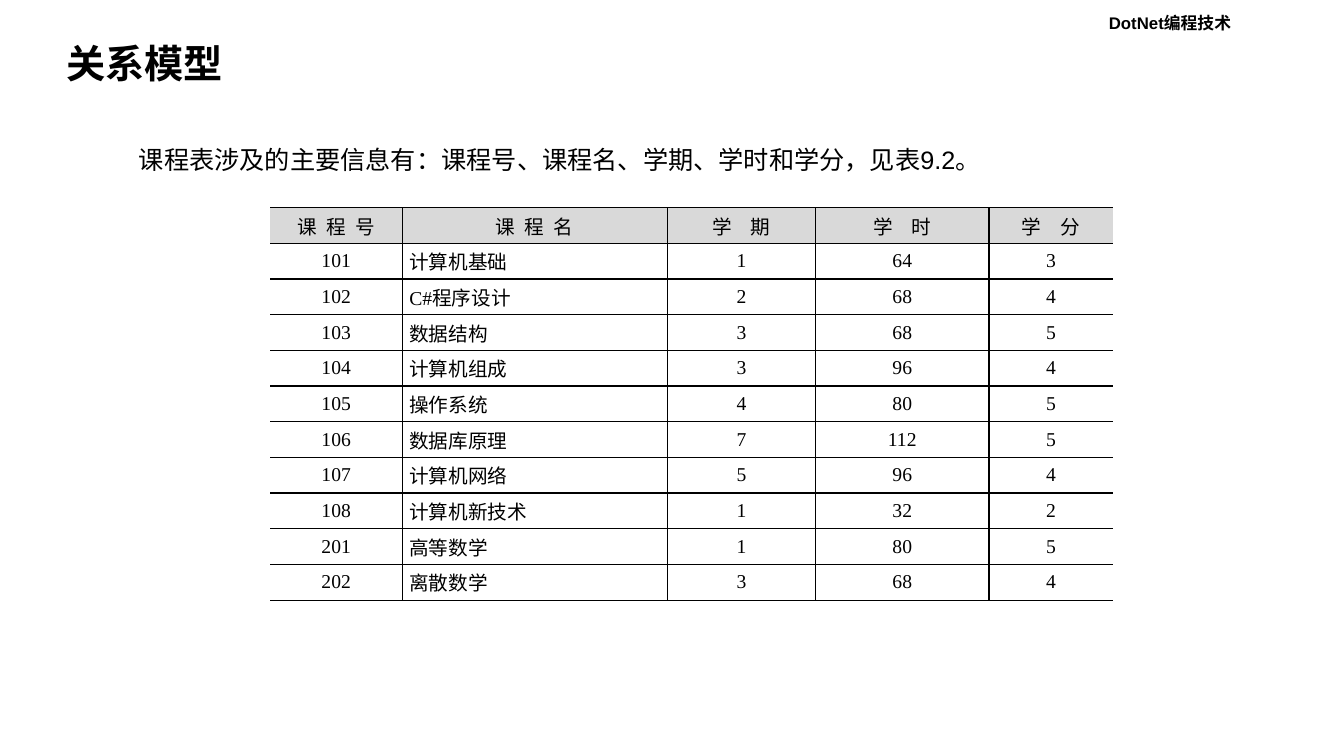
import lxml.etree
import pptx
import pptx.dml.color
import pptx.enum.text
import pptx.oxml.ns
import pptx.util

BLACK = pptx.dml.color.RGBColor(0x00, 0x00, 0x00)
HEADER_GREY = pptx.dml.color.RGBColor(0xD9, 0xD9, 0xD9)
ALIGN = pptx.enum.text.PP_ALIGN
MIDDLE = pptx.enum.text.MSO_ANCHOR.MIDDLE

HEADINGS = [("课 程 号", 175), ("课 程 名", 175), ("学 期", 525), ("学 时", 525), ("学 分", 525)]
COURSES = [
    ("101", "计算机基础", "1", "64", "3"),
    ("102", "C#程序设计", "2", "68", "4"),
    ("103", "数据结构", "3", "68", "5"),
    ("104", "计算机组成", "3", "96", "4"),
    ("105", "操作系统", "4", "80", "5"),
    ("106", "数据库原理", "7", "112", "5"),
    ("107", "计算机网络", "5", "96", "4"),
    ("108", "计算机新技术", "1", "32", "2"),
    ("201", "高等数学", "1", "80", "5"),
    ("202", "离散数学", "3", "68", "4"),
]
COLUMN_SHARES = [9.83, 19.73, 11.03, 12.9, 9.23]
ROW_SHARE = 4.72


class CourseSlide:
    """Builds one slide, with lengths given as percentages of its width and height."""

    def __init__(self):
        self.deck = pptx.Presentation()
        self.deck.slide_width = pptx.util.Inches(13.33)
        self.deck.slide_height = pptx.util.Inches(7.5)
        self.slide = self.deck.slides.add_slide(self.deck.slide_layouts[5])

    def across(self, share):
        return int(self.deck.slide_width * share / 100)

    def down(self, share):
        return int(self.deck.slide_height * share / 100)

    def area(self, left, top, width, height):
        return self.across(left), self.down(top), self.across(width), self.down(height)

    def wording(self, frame, words, size, face="Arial", bold=False, **layout):
        paragraph = frame.paragraphs[0]
        run = paragraph.add_run()
        run.text = words
        run.font.color.rgb = BLACK
        font = {"size": pptx.util.Pt(size), "name": face, "bold": bold}
        for target, values in ((run.font, font), (paragraph, layout)):
            for attribute, value in values.items():
                setattr(target, attribute, value)
        return run

    def title(self, words, *place):
        heading = self.slide.shapes.title
        heading.left, heading.top, heading.width, heading.height = self.area(*place)
        heading.text_frame.vertical_anchor = MIDDLE
        self.wording(heading.text_frame, words, 28, bold=True,
                     alignment=ALIGN.LEFT, line_spacing=0.9)

    def text(self, words, size, *place, bold=False):
        frame = self.slide.shapes.add_textbox(*self.area(*place)).text_frame
        frame.word_wrap = True
        self.wording(frame, words, size, bold=bold)

    def rule(self, cell, side, visible):
        tag = pptx.oxml.ns.qn
        line = lxml.etree.SubElement(cell._tc.get_or_add_tcPr(), tag(f"a:ln{side}"), w="12700")
        if visible:
            fill = lxml.etree.SubElement(line, tag("a:solidFill"))
            lxml.etree.SubElement(fill, tag("a:srgbClr"), val=str(BLACK))
        else:
            lxml.etree.SubElement(line, tag("a:noFill"))

    def cell(self, cell, words, alignment, open_sides, shade=None):
        inset = pptx.util.Inches(0.07)
        layout = {"margin_left": inset, "margin_right": inset, "margin_top": 0,
                  "margin_bottom": 0, "vertical_anchor": MIDDLE}
        for attribute, value in layout.items():
            setattr(cell, attribute, value)
        for side in "LRTB":
            self.rule(cell, side, side not in open_sides)
        if shade is None:
            cell.fill.background()
        else:
            cell.fill.solid()
            cell.fill.fore_color.rgb = shade
        return self.wording(cell.text_frame, words, 14, "Times New Roman", alignment=alignment)

    def table(self, headings, courses, left, top):
        count = len(courses) + 1
        place = self.area(left, top, sum(COLUMN_SHARES), ROW_SHARE * count)
        grid = self.slide.shapes.add_table(count, len(headings), *place).table
        grid.first_row = grid.horz_banding = False
        for row in grid.rows:
            row.height = self.down(ROW_SHARE)
        last = len(headings) - 1
        for column, (heading, tracking) in enumerate(headings):
            grid.columns[column].width = self.across(COLUMN_SHARES[column])
            open_sides = {0: "L", last: "R"}.get(column, "")
            label = self.cell(grid.cell(0, column), heading, ALIGN.CENTER, open_sides, HEADER_GREY)
            label._r.get_or_add_rPr().set("spc", str(tracking))
            alignment = ALIGN.JUSTIFY if column == 1 else ALIGN.CENTER
            for row, course in enumerate(courses, 1):
                self.cell(grid.cell(row, column), course[column], alignment, open_sides)


def main():
    page = CourseSlide()
    page.text("DotNet编程技术", 12, 81.77, 1.07, 18.23, 4, bold=True)
    page.title("关系模型", 4.2, 5.2, 52.4, 6.93)
    page.text("课程表涉及的主要信息有：课程号、课程名、学期、学时和学分，见表9.2。",
              18, 9.6, 18.4, 69.7, 5.33)
    page.table(HEADINGS, COURSES, 20.1, 27.47)
    page.deck.save("out.pptx")


if __name__ == "__main__":
    main()
